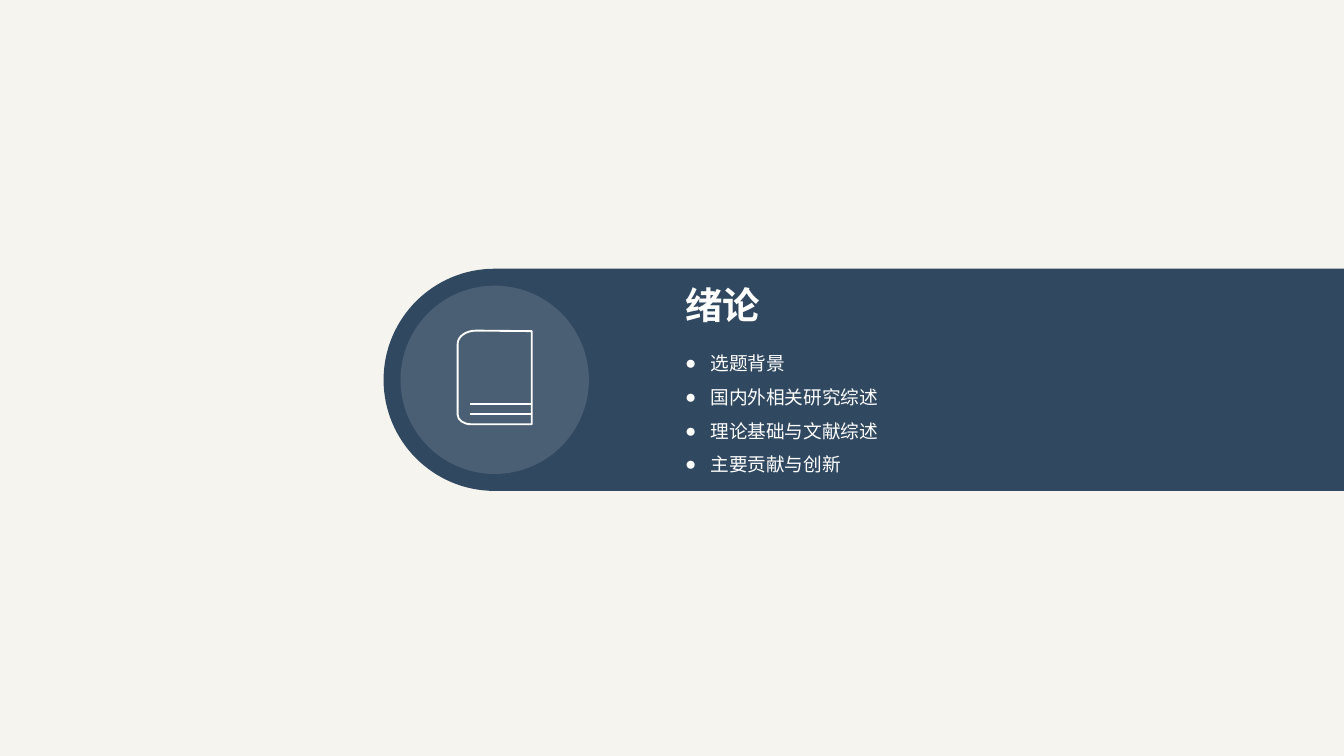
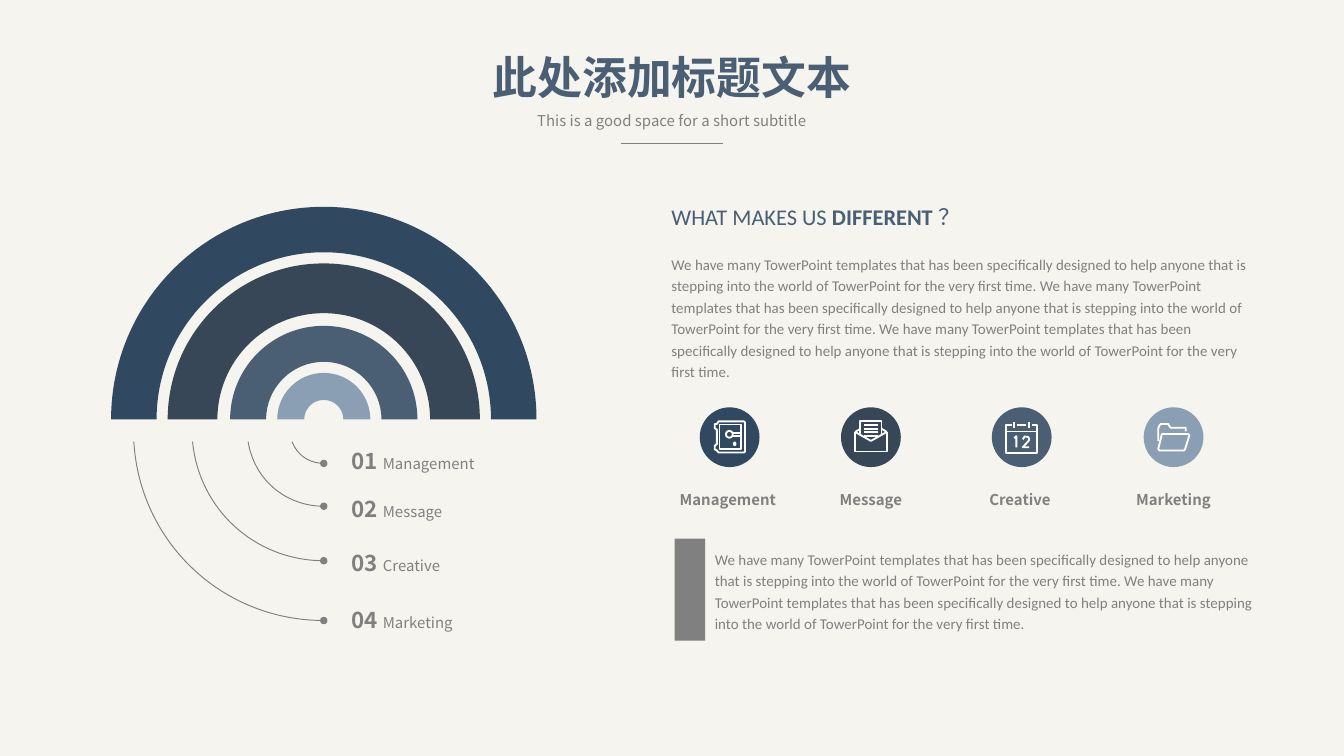
from math import asin, ceil, cos, degrees, radians, sin, tan

from lxml.etree import SubElement
from pptx import Presentation
from pptx.dml.color import RGBColor
from pptx.enum.shapes import MSO_CONNECTOR as CONN, MSO_SHAPE as SHAPE
from pptx.enum.text import MSO_AUTO_SIZE as AUTO, PP_ALIGN as ALIGN
from pptx.oxml.ns import qn
from pptx.util import Cm, Pt

PAPER = RGBColor(0xF5, 0xF4, 0xEF)
NAVY = RGBColor(0x30, 0x48, 0x60)
SLATE = RGBColor(0x38, 0x47, 0x57)
STEEL = RGBColor(0x4A, 0x5F, 0x74)
MIST = RGBColor(0x8A, 0x9F, 0xB4)
GRAY = RGBColor(0x80, 0x80, 0x80)
WHITE = RGBColor(0xFF, 0xFF, 0xFF)
CJK, LATIN = "Noto Sans CJK SC", "Calibri"

SENTENCE = ("We have many TowerPoint templates that has been specifically designed to help "
            "anyone that is stepping into the world of TowerPoint for the very first time.")


# ---- Shared drawing helpers (all numbers in centimetres) ----

def font(size, color, name=CJK, bold=False):
    return {"size": Pt(size), "color": color, "name": name, "bold": bold}


def add_run(p, words, fmt):
    r = p.add_run()
    r.text = words
    r.font.color.rgb = fmt["color"]
    for key in ("size", "name", "bold"):
        setattr(r.font, key, fmt[key])
    SubElement(r.font._element, qn("a:ea"), typeface=fmt["name"])


def add_text(s, box, paras, wrap=False, inset=None, bullet=None, **layout):
    """paras is a list of paragraphs, each a list of (words, font) runs."""
    sp = s.shapes.add_textbox(*map(Cm, box))
    tf = sp.text_frame
    tf.word_wrap = wrap
    tf.auto_size = AUTO.SHAPE_TO_FIT_TEXT
    if inset is not None:
        for side in ("left", "top", "right", "bottom"):
            setattr(tf, "margin_" + side, Cm(inset))
    for i, runs in enumerate(paras):
        p = tf.paragraphs[0] if i == 0 else tf.add_paragraph()
        for key, value in layout.items():
            setattr(p, key, value)
        if bullet:
            pPr = p._p.get_or_add_pPr()
            pPr.set("marL", str(Cm(0.48)))
            pPr.set("indent", str(-Cm(0.48)))
            SubElement(pPr, qn("a:buFont"), typeface="Arial")
            SubElement(pPr, qn("a:buChar"), char=bullet)
        for words, fmt in runs:
            add_run(p, words, fmt)
    return tf


def paint(sp, fill=None, line=None, width=1):
    sp.shadow.inherit = False
    if fill is None:
        sp.fill.background()
    else:
        sp.fill.solid()
        sp.fill.fore_color.rgb = fill
    if line is None:
        sp.line.fill.background()
    else:
        sp.line.color.rgb = line
        sp.line.width = Pt(width)
    return sp


def add_preset(shapes, kind, box, **style):
    return paint(shapes.add_shape(kind, *map(Cm, box)), **style)


def add_path(shapes, steps, close=False, **style):
    """Each step is a corner (2 numbers) or a cubic curve (6 numbers)."""
    pts = [(Cm(step[i]), Cm(step[i + 1])) for step in steps for i in range(0, len(step), 2)]
    builder = shapes.build_freeform(*pts[0], scale=1.0)
    builder.add_line_segments(pts[1:], close=close)
    sp = builder.convert_to_shape()
    # join the three points of every curve into one segment
    segments = iter(list(sp._element.iter(qn("a:lnTo"))))
    for step in steps[1:]:
        first = next(segments)
        if len(step) == 6:
            first.tag = qn("a:cubicBezTo")
            for extra in (next(segments), next(segments)):
                first.append(extra[0])
                extra.getparent().remove(extra)
    return paint(sp, **style)


def add_line(shapes, start, end, color, width):
    sp = shapes.add_connector(CONN.STRAIGHT, *map(Cm, (*start, *end)))
    sp.line.color.rgb = color
    sp.line.width = Pt(width)
    SubElement(sp._element.spPr, qn("a:effectLst"))


def arc(cx, cy, rx, ry, start, end):
    """Start point and curves of an elliptic arc; degrees run clockwise from the right."""
    count = ceil(abs(end - start) / 90)
    turn = radians(end - start) / count
    k = 4 / 3 * tan(turn / 4)
    steps = [(cx + rx * cos(radians(start)), cy + ry * sin(radians(start)))]
    for i in range(count):
        a = radians(start) + i * turn
        b = a + turn
        steps.append((cx + rx * (cos(a) - k * sin(a)), cy + ry * (sin(a) + k * cos(a)),
                      cx + rx * (cos(b) + k * sin(b)), cy + ry * (sin(b) - k * cos(b)),
                      cx + rx * cos(b), cy + ry * sin(b)))
    return steps


def moved(step, dx, dy):
    return tuple(v + (dy if i % 2 else dx) for i, v in enumerate(step))


def rect(x0, y0, x1, y1):
    return [(x0, y0), (x1, y0), (x1, y1), (x0, y1)]


# ---- Icons: outlines about the centre of their circle ----

BOOK = {"open": [
    [(0.7, 0.46), (-0.46, 0.46)],
    [(-0.46, 0.65), (0.7, 0.65)],
    [(0.7, 0.84), *arc(-0.45, 0.66, 0.25, 0.18, 90, 180),
     *arc(-0.35, -0.68, 0.35, 0.25, 180, 270), (0.7, -0.92), (0.7, 0.84)]]}
SAFE = {
    "closed": [
        [(0.27, -0.3), (-0.21, -0.3), (-0.24, -0.25), (-0.28, -0.25), (-0.28, -0.17),
         (-0.24, -0.14), (-0.24, 0.13), (-0.28, 0.16), (-0.28, 0.23), (-0.24, 0.25),
         (-0.21, 0.29), (0.27, 0.29), (0.29, 0.27), (0.29, -0.28)],
        rect(-0.19, -0.24, 0.21, 0.22)],
    "open": [[(0.06, y), (0.21, y)] for y in (-0.08, -0.03)],
    "ovals": [(-0.07, -0.12, 0.13, 0.13), (0.08, 0.1, 0.03, 0.05)]}
ENVELOPE = {"open": [
    [(0.3, -0.1), (0.3, 0.27), (-0.3, 0.27), (-0.3, -0.1)],
    [(-0.2, -0.05), (-0.2, -0.31), (0.2, -0.31), (0.2, -0.05)],
    [(-0.3, -0.1), (0, 0.07), (0.3, -0.1)],
    *[[(side * 0.2, -0.16), (side * 0.3, -0.1)] for side in (1, -1)],
    *[[(-0.13, y), (0.13, y)] for y in (-0.23, -0.16, -0.1, -0.03)]]}
CALENDAR = {"open": [
    [(-0.19, -0.23), (-0.29, -0.23), (-0.29, 0.3), (0.29, 0.3), (0.29, -0.23), (0.19, -0.23)],
    [(-0.29, -0.11), (0.29, -0.11)],
    [(-0.09, -0.23), (0.09, -0.23)],
    *[[(x, -0.18), (x, -0.28)] for x in (-0.14, 0.14)],
    [(-0.14, 0.02), (-0.1, -0.02), (-0.1, 0.19)],
    [*arc(0.08, 0.04, 0.06, 0.06, 180, 380), (0.02, 0.19), (0.14, 0.19)]]}
FOLDER = {
    "open": [[(0.23, -0.11), (0.23, -0.18), (-0.06, -0.18), (-0.1, -0.25), (-0.24, -0.25),
              (-0.27, -0.22), (-0.29, -0.16), (-0.29, 0.07)]],
    "closed": [[(0.2, 0.25), (-0.27, 0.25), (-0.29, 0.22), (-0.22, -0.06), (0.28, -0.06),
                (0.3, -0.04), (0.22, 0.22)]]}


def badge(s, box, fill, icon):
    """A filled circle with a white line icon in its middle."""
    x, y, w, h = box
    cx, cy = x + w / 2, y + h / 2
    add_preset(s.shapes, SHAPE.OVAL, box, fill=fill)
    shapes = s.shapes.add_group_shape().shapes
    for kind in ("closed", "open"):
        for stroke in icon.get(kind, []):
            steps = [moved(step, cx, cy) for step in stroke]
            if len(steps) == 2:
                add_line(shapes, *steps, WHITE, 1)
            else:
                add_path(shapes, steps, close=kind == "closed", line=WHITE)
    for dx, dy, dw, dh in icon.get("ovals", []):
        add_preset(shapes, SHAPE.OVAL, (cx + dx, cy + dy, dw, dh), line=WHITE)


# ---- Slide 1: chapter band ----

def chapter_band(s, box, title, topics):
    x, y, w, h = box
    rad = h / 2
    add_path(s.shapes, [(x + w, y), *arc(x + rad, y + rad, rad, rad, 270, 90), (x + w, y + h)],
             close=True, fill=NAVY)
    gap = 0.32
    badge(s, (x + gap, y + gap, h - 2 * gap, h - 2 * gap), STEEL, BOOK)
    add_text(s, (x + 5.45, y + 1.24, 4.19, 2.82),
             [[(topic, font(10, WHITE))] for topic in topics], bullet="●", line_spacing=1.5)
    add_text(s, (x + 5.45, y + 0.13, 2.01, 1.12),
             [[(title, font(20, WHITE, bold=True))]], wrap=True)


# ---- Slide 2: heading, rainbow, explanation ----

def heading(s, box, title, subtitle):
    x, y, w, h = box
    add_text(s, (x, y, w, 1.27), [[(title, font(24, STEEL, bold=True))]], alignment=ALIGN.CENTER)
    add_text(s, (x + 0.73, y + 1.17, w - 1.46, 0.61), [[(subtitle, font(8, GRAY))]],
             alignment=ALIGN.CENTER)
    mid = x + w / 2
    add_line(s.shapes, (mid - 0.97, y + h), (mid + 0.97, y + h), GRAY, 0.5)


# colour, outer and inner radius
RINGS = [(NAVY, 4.02, 3.16), (SLATE, 2.95, 2.01), (STEEL, 1.77, 1.09), (MIST, 0.88, 0.37)]
# name, leader width and height, label top below the rings, label width
LEADERS = [("Management", 0.6, 0.41, 0.4, 3.07), ("Message", 1.43, 1.22, 1.31, 2.49),
           ("Creative", 2.48, 2.25, 2.33, 2.39), ("Marketing", 3.59, 3.38, 3.4, 2.59)]


def rainbow(s, box):
    x, y, w, h = box
    cx, base = x + w / 2, y + w / 2
    for color, outer, inner in RINGS:
        add_path(s.shapes, [*arc(cx, base, outer, outer, 180, 360),
                            *arc(cx, base, inner, inner, 360, 180)], close=True, fill=color)
    for i, (name, dx, dy, top, width) in enumerate(LEADERS, 1):
        # circle that ends level below the centre and passes through the start
        rad = (dx * dx + dy * dy) / (2 * dy)
        cy = base + 0.42 + dy - rad
        start = 180 - degrees(asin((rad - dy) / rad))
        sp = add_path(s.shapes, arc(cx, cy, rad, rad, 90, start), line=GRAY, width=0.5)
        SubElement(sp._element.spPr.find(qn("a:ln")), qn("a:headEnd"),
                   type="oval", w="sm", len="sm")
        add_text(s, (cx + 0.27, base + top, width, 0.76),
                 [[(f"{i:02d} ", font(12, GRAY, bold=True)), (name, font(8, GRAY))]])


# name, colour, icon, centre from the panel's left edge, label width
SERVICES = [("Management ", NAVY, SAFE, 1.1, 2.49), ("Message", SLATE, ENVELOPE, 3.77, 1.85),
            ("Creative ", STEEL, CALENDAR, 6.62, 1.75), ("Marketing", MIST, FOLDER, 9.49, 1.98)]


def explanation(s, box):
    x, y, w, h = box
    body = font(8, GRAY, LATIN)
    # question and answer
    tf = add_text(s, (x, y, w, 3.48),
                  [[("WHAT MAKES US", font(12, STEEL, LATIN)),
                    (" DIFFERENT ", font(12, STEEL, LATIN, True)),
                    ("？", font(12, STEEL, LATIN))],
                   [(" ".join([SENTENCE] * 3), body)]],
                  wrap=True, inset=0, line_spacing=1.2)
    tf.paragraphs[0].space_after = Pt(12)
    # row of services
    d = 1.13
    for name, color, icon, mid, width in SERVICES:
        badge(s, (x + mid - d / 2, y + 3.97, d, d), color, icon)
        add_text(s, (x + mid - width / 2, y + 5.41, width, 0.58),
                 [[(name, font(8, GRAY, bold=True))]], alignment=ALIGN.CENTER)
    # closing note with its bar
    add_preset(s.shapes, SHAPE.RECTANGLE, (x + 0.06, y + h - 1.93, 0.58, 1.93), fill=GRAY)
    add_text(s, (x + 0.82, y + h - 1.77, 10.21, 1.65), [[(" ".join([SENTENCE] * 2), body)]],
             wrap=True, inset=0, line_spacing=1.2)


def main():
    prs = Presentation()
    prs.slide_width, prs.slide_height = Cm(25.4), Cm(14.29)
    fill = prs.slide_master.background.fill
    fill.solid()
    fill.fore_color.rgb = PAPER
    blank = prs.slide_layouts[6]

    s = prs.slides.add_slide(blank)
    chapter_band(s, (7.25, 5.08, 18.15, 4.2), "绪论",
                 ["选题背景", "国内外相关研究综述", "理论基础与文献综述", "主要贡献与创新"])

    s = prs.slides.add_slide(blank)
    heading(s, (9.03, 0.81, 7.34, 1.91), "此处添加标题文本",
            "This is a good space for a short subtitle")
    rainbow(s, (2.1, 3.91, 8.04, 8.19))
    explanation(s, (12.69, 3.73, 11, 8.38))

    prs.save("out.pptx")


if __name__ == "__main__":
    main()
